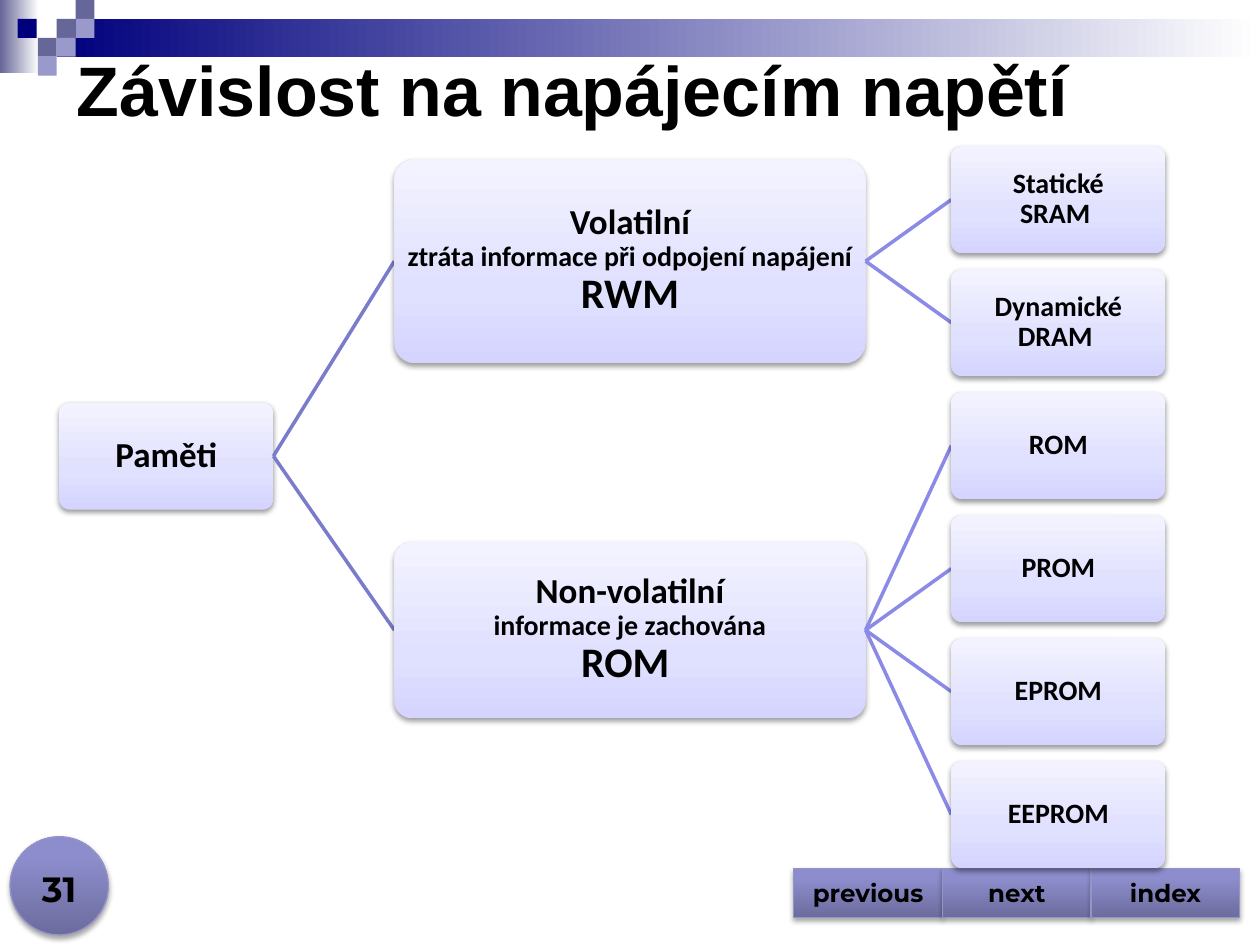
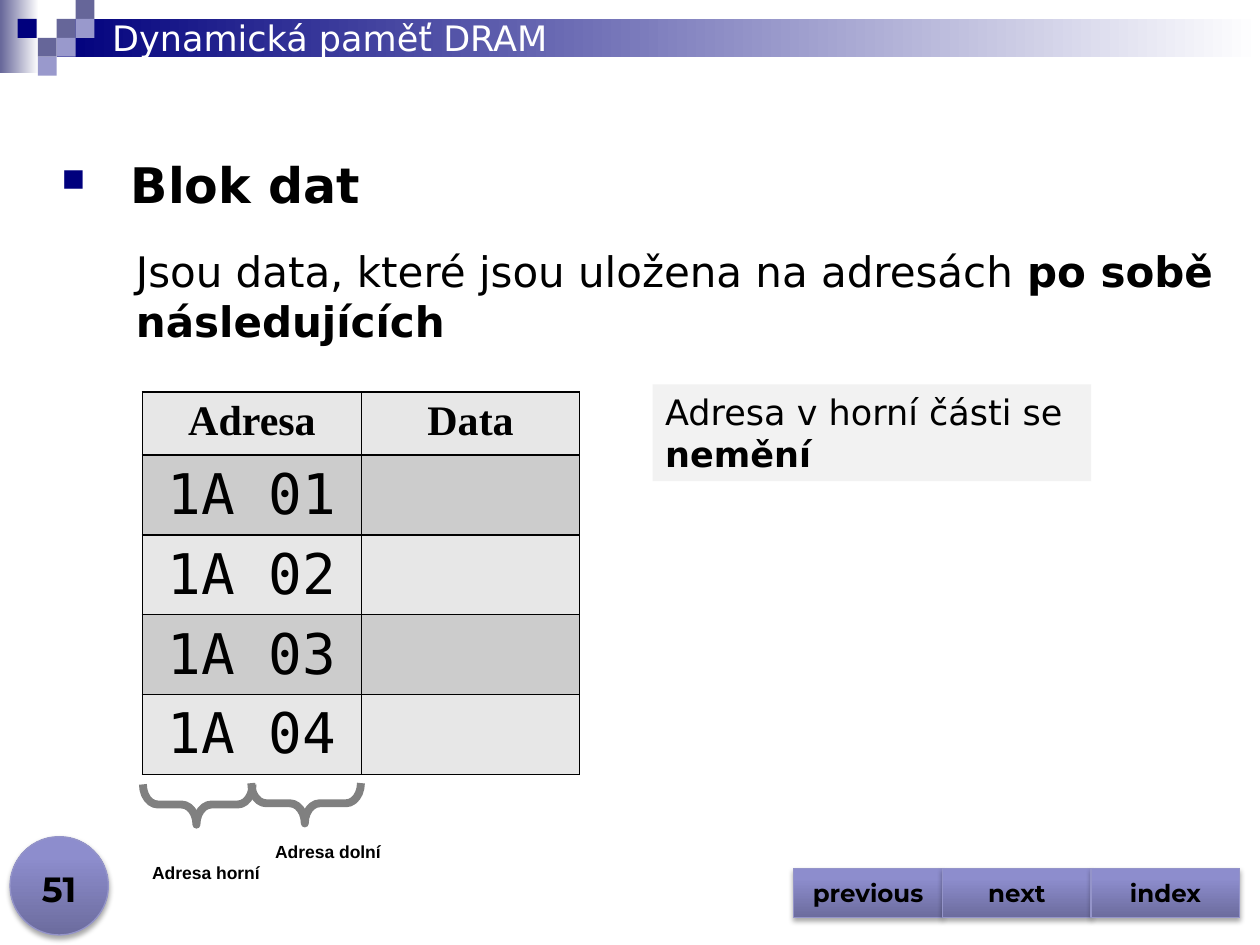
"""Build two slides on memory types: a volatility tree and a DRAM data block."""
from copy import deepcopy

from lxml import etree
from pptx import Presentation
from pptx.dml.color import RGBColor
from pptx.enum.shapes import MSO_CONNECTOR, MSO_SHAPE
from pptx.enum.text import MSO_ANCHOR, MSO_AUTO_SIZE, PP_ALIGN
from pptx.oxml.ns import qn
from pptx.util import Inches, Pt

RECT, ROUND_RECT, OVAL = MSO_SHAPE.RECTANGLE, MSO_SHAPE.ROUNDED_RECTANGLE, MSO_SHAPE.OVAL
BUTTON, BRACE = MSO_SHAPE.ACTION_BUTTON_CUSTOM, MSO_SHAPE.LEFT_BRACE
STRAIGHT = MSO_CONNECTOR.STRAIGHT
TOP, MIDDLE, BOTTOM = MSO_ANCHOR.TOP, MSO_ANCHOR.MIDDLE, MSO_ANCHOR.BOTTOM
LEFT, CENTER, RIGHT = PP_ALIGN.LEFT, PP_ALIGN.CENTER, PP_ALIGN.RIGHT
NO_AUTOFIT = MSO_AUTO_SIZE.NONE

SANS, MONO, SERIF = "DejaVu Sans", "DejaVu Sans Mono", "Times New Roman"
BLACK, WHITE, NAVY = "000000", "FFFFFF", "00007D"
SLATE, LAVENDER, BUTTON_EDGE = "666699", "9999CC", "9494C9"
BRACE_GREY, NOTE_GREY = "808080", "F2F2F2"
ROW_GREYS = ("E7E7E7", "CCCCCC")
ROOT_LINK, LEAF_LINK = "7B7BCC", "8B8BE7"
BUTTON_STOPS = [(0, "6C6C9E"), (80, "8D8DCD"), (100, "8C8CCF")]
NODE_STOPS = [(0, "D4D4FF"), (35, "E0E0FF"), (100, "F3F3FF")]

TILE = 0.15
TILES = [
    (0.45, 0.15, SLATE), (0.6, 0, SLATE), (0.6, 0.15, LAVENDER), (0.3, 0.3, SLATE),
    (0.14, 0.15, NAVY), (0.45, 0.3, LAVENDER), (0.3, 0.45, LAVENDER),
]

ROOT_LEFT, ROOT_MIDDLE = 0.47, 3.62
BRANCH_LEFT, BRANCH_WIDTH = 3.13, 3.74
LEAF_LEFT, LEAF_WIDTH, LEAF_HEIGHT = 7.55, 1.7, 0.85
FIRST_LEAF_TOP, LAST_LEAF_TOP = 1.16, 6.04
BRANCHES = [
    (1.62, ("Volatilní", "ztráta informace při odpojení napájení", "RWM"),
     [("Statické", "SRAM "), ("Dynamické", "DRAM ")]),
    (1.4, ("Non-volatilní", "informace je zachována", "ROM "),
     [("ROM",), ("PROM",), ("EPROM",), ("EEPROM",)]),
]


def rgb(value):
    """Turn a hex string into a colour."""
    return RGBColor.from_string(value)


def box(*lengths):
    """Turn left, top, width and height in inches into lengths."""
    return [Inches(length) for length in lengths]


def write(paragraph, parts, font, color=BLACK, align=LEFT, breaks=False):
    """Write (text, size, bold) parts as runs, one line each if breaks is set."""
    paragraph.alignment = align
    for index, (text, size, bold) in enumerate(parts):
        if breaks and index:
            paragraph.add_line_break()
            paragraph._p[-1].append(deepcopy(run._r.rPr))
        run = paragraph.add_run()
        run.text = text
        run.font.name = font
        run.font.size = Pt(size)
        run.font.bold = bold
        run.font.color.rgb = rgb(color)


def set_gradient(shape, stops, angle):
    """Fill a shape with a linear gradient of (percent, colour) stops."""
    shape.fill.gradient()
    shape.fill.gradient_angle = angle
    stop_list = shape._element.spPr.find(qn("a:gradFill")).find(qn("a:gsLst"))
    for old_stop in list(stop_list):
        stop_list.remove(old_stop)
    for percent, color in stops:
        stop = etree.SubElement(stop_list, qn("a:gs"), pos=str(percent * 1000))
        etree.SubElement(stop, qn("a:srgbClr"), val=color)


def add_shadow(shape, opacity, distance):
    """Give a shape a soft shadow below it."""
    effects = shape._element.spPr.find(qn("a:effectLst"))
    outer = etree.SubElement(
        effects, qn("a:outerShdw"), blurRad=str(Pt(3.1)), dist=str(Pt(distance)),
        dir="5400000", rotWithShape="0")
    color = etree.SubElement(outer, qn("a:srgbClr"), val=BLACK)
    etree.SubElement(color, qn("a:alpha"), val=str(opacity * 1000))


def add_panel(slide, kind, place, fill=None, stops=None, angle=0, line=None, width=0.75):
    """Add a preset shape with a plain or gradient fill and no shadow."""
    panel = slide.shapes.add_shape(kind, *box(*place))
    panel.shadow.inherit = False
    if stops:
        set_gradient(panel, stops, angle)
    elif fill:
        panel.fill.solid()
        panel.fill.fore_color.rgb = rgb(fill)
    else:
        panel.fill.background()
    if line:
        panel.line.color.rgb = rgb(line)
        panel.line.width = Pt(width)
    else:
        panel.line.fill.background()
    return panel


def add_text(slide, place, parts, font, align=LEFT, anchor=TOP, wrap=True):
    """Add a text box with one paragraph."""
    frame = slide.shapes.add_textbox(*box(*place)).text_frame
    frame.word_wrap = wrap
    frame.vertical_anchor = anchor
    write(frame.paragraphs[0], parts, font, align=align)
    return frame


def add_glossy(slide, kind, place):
    """Add a violet navigation shape."""
    glossy = add_panel(slide, kind, place, stops=BUTTON_STOPS, angle=90, line=BUTTON_EDGE)
    add_shadow(glossy, 35, 1.8)
    return glossy


def add_decor(slide, number):
    """Add the header band, tiles, page number and navigation buttons."""
    add_panel(slide, RECT, (0, 0, 0.31, 0.58), stops=[(0, SLATE), (100, WHITE)])
    add_panel(slide, RECT, (0.45, 0.15, 9.55, 0.3), stops=[(0, NAVY), (100, WHITE)])
    for left, top, color in TILES:
        add_panel(slide, RECT, (left, top, TILE, TILE), fill=color)
    add_glossy(slide, OVAL, (0.08, 6.64, 0.78, 0.78))
    add_text(slide, (0, 6.77, 0.94, 0.5), [(number, 20, True)], "Montserrat", CENTER, BOTTOM)
    for index, label in enumerate(("previous", "next", "index")):
        button = add_glossy(slide, BUTTON, (6.3 + 1.18 * index, 6.89, 1.18, 0.39))
        button.text_frame.vertical_anchor = MIDDLE
        write(button.text_frame.paragraphs[0], [(label, 14, True)], "Montserrat", align=CENTER)


def add_title(slide, place, part, font, color):
    """Place the title above the header band and format it."""
    title = slide.shapes.title
    slide.shapes._spTree.append(title._element)
    title.left, title.top, title.width, title.height = box(*place)
    title.text_frame.auto_size = NO_AUTOFIT
    title.text_frame.vertical_anchor = MIDDLE
    write(title.text_frame.paragraphs[0], [part], font, color)


def add_node(slide, left, middle, width, height, lines, sizes):
    """Add a tree node centred on a height."""
    node = add_panel(slide, ROUND_RECT, (left, middle - height / 2, width, height),
                     stops=NODE_STOPS, angle=90)
    node.adjustments[0] = 0.1
    add_shadow(node, 38, 1.6)
    frame = node.text_frame
    frame.margin_left = frame.margin_right = Inches(0.03)
    frame.margin_top = frame.margin_bottom = Inches(0.03)
    frame.vertical_anchor = MIDDLE
    frame.paragraphs[0].line_spacing = 0.9
    parts = [(text, size, True) for text, size in zip(lines, sizes)]
    write(frame.paragraphs[0], parts, "Calibri", align=CENTER, breaks=True)


def add_link(slide, start, end, color):
    """Join two points of the tree."""
    link = slide.shapes.add_connector(STRAIGHT, *box(*start, *end))
    link.line.color.rgb = rgb(color)
    link.line.width = Pt(2)
    etree.SubElement(link._element.spPr, qn("a:effectLst"))


def add_memory_tree(slide):
    """Draw the memory tree, each branch centred on its leaves."""
    leaf_count = sum(len(leaves) for _, _, leaves in BRANCHES)
    pitch = (LAST_LEAF_TOP - FIRST_LEAF_TOP) / (leaf_count - 1)
    leaf_middle = FIRST_LEAF_TOP + LEAF_HEIGHT / 2
    root_end = (ROOT_LEFT + LEAF_WIDTH, ROOT_MIDDLE)
    add_node(slide, ROOT_LEFT, ROOT_MIDDLE, LEAF_WIDTH, LEAF_HEIGHT, ("Paměti",), (20,))
    for height, lines, leaves in BRANCHES:
        middle = leaf_middle + pitch * (len(leaves) - 1) / 2
        add_link(slide, root_end, (BRANCH_LEFT, middle), ROOT_LINK)
        add_node(slide, BRANCH_LEFT, middle, BRANCH_WIDTH, height, lines, (20, 16, 24))
        for leaf in leaves:
            add_link(slide, (BRANCH_LEFT + BRANCH_WIDTH, middle), (LEAF_LEFT, leaf_middle),
                     LEAF_LINK)
            add_node(slide, LEAF_LEFT, leaf_middle, LEAF_WIDTH, LEAF_HEIGHT, leaf, (16, 16))
            leaf_middle += pitch


def add_definition(slide):
    """Add the bulleted term and its explanation."""
    frame = add_text(slide, (0.39, 1.18, 9.61, 1.63), [("Blok dat", 28, True)], SANS)
    term = frame.paragraphs[0]
    term.space_after = Pt(18)
    properties = term._p.get_or_add_pPr()
    properties.set("marL", str(Inches(0.55)))
    properties.set("indent", str(-Inches(0.55)))
    bullet_color = etree.SubElement(properties, qn("a:buClr"))
    etree.SubElement(bullet_color, qn("a:srgbClr"), val=NAVY)
    etree.SubElement(properties, qn("a:buSzPct"), val="65000")
    etree.SubElement(properties, qn("a:buChar"), char="■")
    meaning = frame.add_paragraph()
    meaning.space_after = Pt(12)
    meaning._p.get_or_add_pPr().set("marL", str(Inches(0.59)))
    write(meaning, [("Jsou data, které jsou uložena na adresách ", 24, False),
                    ("po sobě následujících", 24, True)], SANS)


def format_cell(cell, fill):
    """Fill a cell and draw its four borders."""
    cell.fill.solid()
    cell.fill.fore_color.rgb = rgb(fill)
    properties = cell._tc.get_or_add_tcPr()
    for index, side in enumerate(("a:lnL", "a:lnR", "a:lnT", "a:lnB")):
        border = etree.Element(qn(side), w=str(Pt(1)))
        solid = etree.SubElement(border, qn("a:solidFill"))
        etree.SubElement(solid, qn("a:srgbClr"), val=BLACK)
        properties.insert(index, border)


def add_address_table(slide):
    """Add the table of consecutive addresses."""
    addresses = [f"1A 0{number}" for number in range(1, 5)]
    table = slide.shapes.add_table(
        len(addresses) + 1, 2, *box(1.13, 3.11, 3.47, 3.03)).table
    table.first_row = table.horz_banding = False
    table.columns[0].width, table.columns[1].width = Inches(1.74), Inches(1.73)
    for index, row in enumerate(table.rows):
        row.height = Inches(0.63 if index else 0.5)
        for cell in row.cells:
            format_cell(cell, ROW_GREYS[index % 2])
    for column, heading in enumerate(("Adresa", "Data")):
        write(table.cell(0, column).text_frame.paragraphs[0], [(heading, 24, True)], SERIF,
              align=CENTER)
    for index, address in enumerate(addresses, 1):
        cell = table.cell(index, 0)
        cell.vertical_anchor = MIDDLE
        write(cell.text_frame.paragraphs[0], [(address, 32, False)], MONO, align=CENTER)


def add_brace(slide, left, top, label, label_place):
    """Add a brace opening upwards and its label."""
    brace = add_panel(slide, BRACE, (left, top, 0.32, 0.87), line=BRACE_GREY, width=4.5)
    brace.rotation = 270
    brace.adjustments[0], brace.adjustments[1] = 0.37, 0.488
    add_text(slide, label_place, [(label, 10, True)], "Arial", RIGHT, MIDDLE, wrap=False)


def add_note(slide):
    """Add the shaded remark beside the table."""
    note = add_panel(slide, RECT, (5.18, 3.05, 3.48, 0.77), fill=NOTE_GREY)
    note.text_frame.vertical_anchor = TOP
    write(note.text_frame.paragraphs[0],
          [("Adresa v horní části se ", 20, False), ("nemění", 20, True)], SANS)


def main():
    """Build and save the presentation."""
    deck = Presentation()
    deck.slide_width, deck.slide_height = Inches(10), Inches(7.5)
    title_only = deck.slide_layouts[5]

    supply = deck.slides.add_slide(title_only)
    add_decor(supply, "31")
    add_title(supply, (0.51, 0.31, 9.49, 0.79),
              ("Závislost na napájecím napětí", 40, True), "Arial", BLACK)
    add_memory_tree(supply)

    dram = deck.slides.add_slide(title_only)
    add_decor(dram, "51")
    add_title(dram, (0.79, 0.08, 8.5, 0.44), ("Dynamická paměť DRAM", 20, False), SANS, WHITE)
    add_definition(dram)
    add_address_table(dram)
    add_brace(dram, 1.41, 5.95, "Adresa horní", (1.1, 6.79, 1.06, 0.27))
    add_brace(dram, 2.27, 5.94, "Adresa dolní", (2.07, 6.62, 1.05, 0.27))
    add_note(dram)
    deck.save("out.pptx")


if __name__ == "__main__":
    main()
